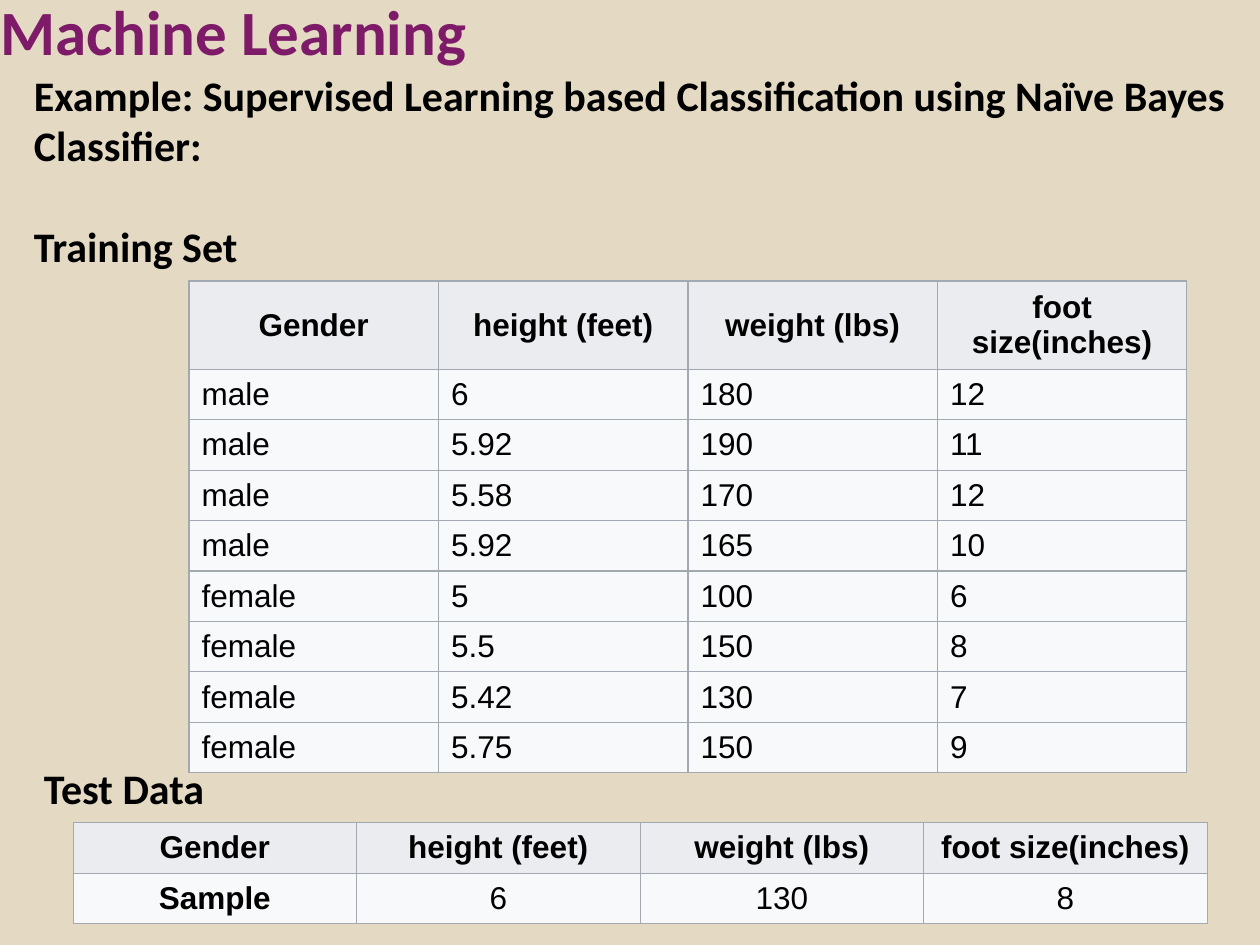
from lxml.etree import SubElement
from pptx import Presentation
from pptx.dml.color import RGBColor
from pptx.enum.text import MSO_ANCHOR, PP_ALIGN
from pptx.oxml.ns import qn
from pptx.util import Inches, Pt

COLORS = {
    "background": "E4DAC4",
    "title": "7E1B68",
    "text": "000000",
    "header": "EAECF0",
    "body": "F8F9FA",
    "border": "A2A9B1",
}

HEADER = ["Gender", "height (feet)", "weight (lbs)", "foot size(inches)"]
TRAINING_SET = [
    ["male", "6", "180", "12"],
    ["male", "5.92", "190", "11"],
    ["male", "5.58", "170", "12"],
    ["male", "5.92", "165", "10"],
    ["female", "5", "100", "6"],
    ["female", "5.5", "150", "8"],
    ["female", "5.42", "130", "7"],
    ["female", "5.75", "150", "9"],
]
TEST_DATA = [["Sample", "6", "130", "8"]]


def rgb(name):
    return RGBColor.from_string(COLORS[name])


def style_font(paragraph, family, size, color="text", bold=True):
    font = paragraph.font
    font.name = family
    font.size = Pt(size)
    font.bold = bold
    font.color.rgb = rgb(color)


def add_heading(slide, box, lines, size=24, color="text", wrap=True, inset=True, gap=0):
    """Bold heading text, one paragraph per line, with gap points between them."""
    frame = slide.shapes.add_textbox(*map(Inches, box)).text_frame
    frame.word_wrap = wrap
    if not inset:
        frame.margin_left = frame.margin_right = 0
        frame.margin_top = frame.margin_bottom = 0
    for index, line in enumerate(lines):
        paragraph = frame.paragraphs[0] if index == 0 else frame.add_paragraph()
        paragraph.text = line
        if index:
            paragraph.space_before = Pt(gap)
        style_font(paragraph, "Calibri", size, color)


def add_borders(cell):
    properties = cell._tc.get_or_add_tcPr()
    for side in ("a:lnL", "a:lnR", "a:lnT", "a:lnB"):
        line = SubElement(properties, qn(side), w=str(Pt(0.75)))
        fill = SubElement(line, qn("a:solidFill"))
        SubElement(fill, qn("a:srgbClr"), val=COLORS["border"])


def fill_cell(cell, text, fill, bold, centered):
    add_borders(cell)
    cell.fill.solid()
    cell.fill.fore_color.rgb = rgb(fill)
    cell.vertical_anchor = MSO_ANCHOR.MIDDLE
    cell.text = text
    paragraph = cell.text_frame.paragraphs[0]
    paragraph.alignment = PP_ALIGN.CENTER if centered else PP_ALIGN.LEFT
    style_font(paragraph, "Arial", 18, bold=bold)


def add_data_table(slide, left, top, column_width, header_height, records,
                   centered=False, bold_labels=False):
    row_height = 0.4
    rows = [HEADER] + records
    table = slide.shapes.add_table(
        len(rows), len(HEADER), Inches(left), Inches(top),
        Inches(column_width * len(HEADER)),
        Inches(header_height + row_height * len(records)),
    ).table
    for column in table.columns:
        column.width = Inches(column_width)
    for r, values in enumerate(rows):
        is_header = r == 0
        table.rows[r].height = Inches(header_height if is_header else row_height)
        for c, value in enumerate(values):
            fill_cell(
                table.cell(r, c), value,
                fill="header" if is_header else "body",
                bold=is_header or (bold_labels and c == 0),
                centered=is_header or centered,
            )


def main():
    deck = Presentation()
    deck.slide_width, deck.slide_height = Inches(10), Inches(7.5)
    slide = deck.slides.add_slide(deck.slide_layouts[6])
    slide.background.fill.solid()
    slide.background.fill.fore_color.rgb = rgb("background")

    # Title and topic
    add_heading(slide, (0, -0.06, 9.75, 0.81), ["Machine Learning"],
                size=36, color="title", inset=False)
    add_heading(
        slide, (0.17, 0.5, 9.75, 2.12),
        ["Example: Supervised Learning based Classification using Naïve Bayes Classifier:",
         "Training Set"],
        gap=29,
    )

    # Training set
    add_data_table(slide, 1.5, 2.23, 1.98, 0.7, TRAINING_SET)

    # Test data
    add_data_table(slide, 0.58, 6.53, 2.25, 0.4, TEST_DATA,
                   centered=True, bold_labels=True)
    add_heading(slide, (0.25, 6, 1.49, 0.5), ["Test Data"], wrap=False)

    deck.save("out.pptx")


if __name__ == "__main__":
    main()
